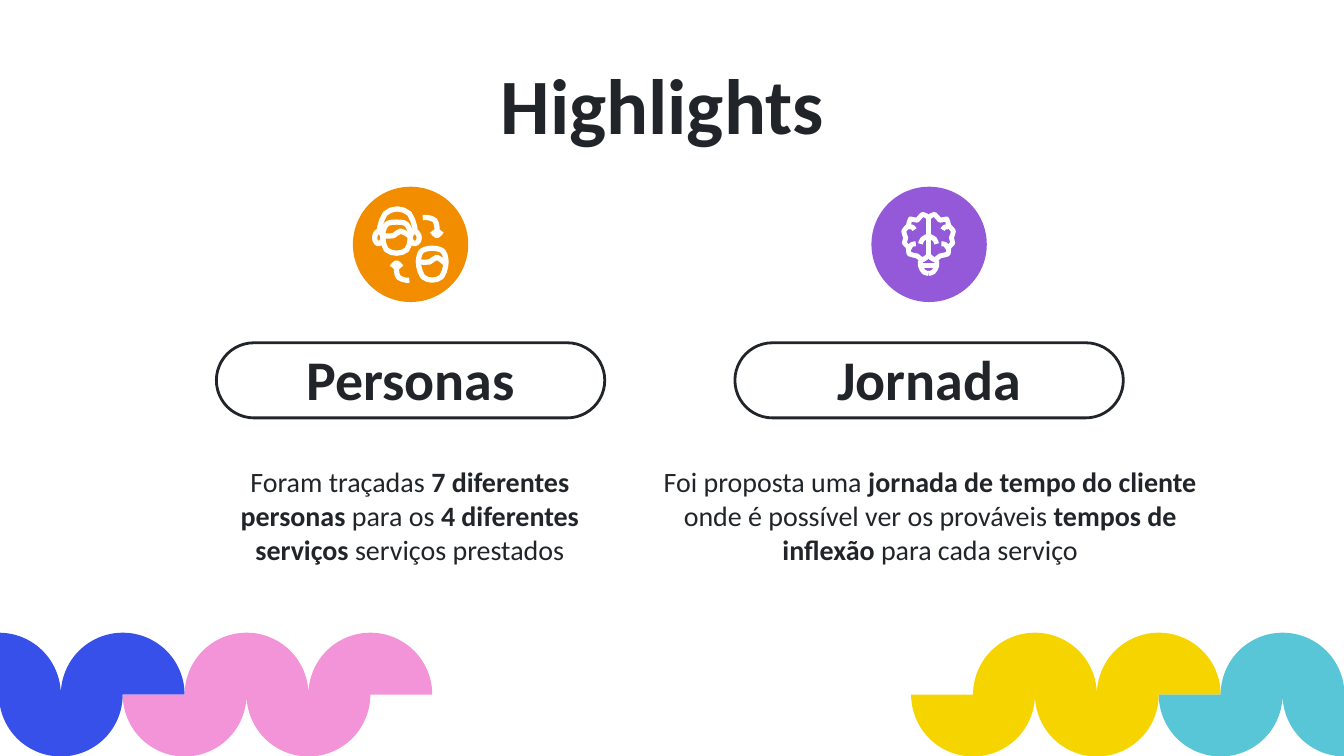
import pptx
import pptx.util
import pptx.dml.color
import pptx.enum.shapes
import pptx.enum.text
import pptx.oxml

Cm = pptx.util.Cm
Pt = pptx.util.Pt
RGBColor = pptx.dml.color.RGBColor
Shape = pptx.enum.shapes.MSO_SHAPE
Anchor = pptx.enum.text.MSO_ANCHOR

INK = RGBColor(0x21, 0x25, 0x29)
WHITE = RGBColor(0xFF, 0xFF, 0xFF)
BLUE = RGBColor(0x36, 0x50, 0xE9)
PINK = RGBColor(0xF3, 0x93, 0xD8)
YELLOW = RGBColor(0xF6, 0xD4, 0x00)
TEAL = RGBColor(0x59, 0xC6, 0xD8)
ORANGE = RGBColor(0xF2, 0x8D, 0x00)
PURPLE = RGBColor(0x93, 0x59, 0xD8)

FACES = [
    ([(20, 34), (20, 30), (24, 20), (33, 16.5), (42, 20), (46, 30), (46, 34)], False),
    ([(22.5, 33), (22.5, 40), (25, 47), (32.5, 49.5), (40, 47), (42.5, 40),
      (42.5, 33), (40, 28), (36, 26.5), (29, 26.5), (25, 28)], True),
    ([(23, 36.5), (30, 36.5), (35.5, 33), (42, 36.5)], False),
    ([(16.5, 36), (19, 33), (22, 36), (22, 40), (19, 42.5), (16.5, 40)], True),
    ([(43, 36), (46, 33), (49, 36), (49, 40), (46, 42.5), (43, 40)], True),
    ([(49, 53), (51, 48), (56, 46), (62, 46), (67, 48), (69, 53), (69, 59),
      (66, 67), (59, 69.5), (52, 67), (49, 59)], True),
    ([(50, 56), (57, 56), (62.5, 52.5), (68, 56.5)], False),
    ([(52, 23), (56, 23), (61, 25), (62.5, 30), (62.5, 36)], False),
    ([(59, 33), (62.5, 36.5), (66, 33)], False),
    ([(42, 69.5), (39, 69.5), (34, 67.5), (32.5, 63), (32.5, 57)], False),
    ([(29, 60), (32.5, 56.5), (36, 60)], False),
]
HALF = [
    [(42.5, 23), (38, 20.5), (34, 25), (29, 24), (27.5, 29), (24, 33),
     (25.5, 38), (24.5, 42), (27.5, 45), (28, 50), (34, 51.5), (38, 54.5), (42.5, 51)],
    [(36.5, 42.5), (38, 39), (42.5, 36.5)],
    [(28, 30), (30.5, 30), (32, 32)],
    [(28, 46), (30, 43), (33, 42.5)],
    [(36.5, 55), (36.5, 59), (39, 63.5), (42.5, 64.5)],
    [(36.5, 58.5), (42.5, 58.5)],
]
BRAIN = [([(42.5, 22), (42.5, 52)], False)]
for half in HALF:
    BRAIN += [(half, False), ([(85 - x, y) for x, y in half], False)]

TITLE = "Highlights "
TOPICS = [
    {"head": "Personas", "left": 4.09, "body": (3.91, 7.67), "tint": ORANGE,
     "icon": FACES, "pen": 2.8,
     "parts": ["Foram traçadas ", "7 diferentes personas", " para os ",
               "4 diferentes serviços", " serviços prestados"]},
    {"head": "Jornada", "left": 13.89, "body": (12.17, 10.82), "tint": PURPLE,
     "icon": BRAIN, "pen": 2.6,
     "parts": ["Foi proposta uma ", "jornada de tempo do cliente",
               " onde é possível ver os prováveis ", "tempos de inflexão",
               " para cada serviço"]},
]
RADIUS, CREST = 1.17, 11.96
PAIRS = [(-2.36, (BLUE, PINK)), (17.22, (YELLOW, TEAL))]
PILL, DISC, TOP = 7.34, 2.18, 3.53
UNIT = 0.0254
SPACE = 'xmlns:a="http://schemas.openxmlformats.org/drawingml/2006/main"'


def trace(strokes):
    form = None
    for points, closed in strokes:
        spots = [(Cm(x), Cm(y)) for x, y in points]
        if form is None:
            form = slide.shapes.build_freeform(*spots[0])
        else:
            form.move_to(*spots[0])
        form.add_line_segments(spots[1:], close=closed)
    shape = form.convert_to_shape()
    shape.shadow.inherit = False
    return shape


def smooth(points, closed):
    if closed:
        knots = [points[-1], *points, *points[:2]]
    else:
        knots = [points[0], *points, points[-1]]
    out = []
    for a, b, c, d in zip(knots, knots[1:], knots[2:], knots[3:]):
        out += [b, tuple((9 * (q + r) - p - s) / 16 for p, q, r, s in zip(a, b, c, d))]
    return out if closed else out + [points[-1]]


def wave(left, tint):
    right, base = left + 5 * RADIUS, CREST + 2 * RADIUS
    shape = trace([([(left, CREST), (right, CREST), (right, base), (left, base)], True)])
    size = Cm(RADIUS)
    arc = f'<a:arcTo wR="{size}" hR="{size}" stAng="{{}}" swAng="-10800000"/>'
    low, high = arc.format(10800000) * 2, arc.format(0) * 2
    track = pptx.oxml.parse_xml(
        f'<a:path {SPACE} w="{5 * size}" h="{2 * size}">'
        f'<a:moveTo><a:pt x="0" y="{size}"/></a:moveTo>{low}'
        f'<a:lnTo><a:pt x="{5 * size}" y="{size}"/></a:lnTo>{high}<a:close/></a:path>')
    old = shape._element.xpath(".//a:pathLst/a:path")[0]
    old.getparent().replace(old, track)
    shape.fill.solid()
    shape.fill.fore_color.rgb = tint
    shape.line.fill.background()


def write(holder, box, parts, size, bold, anchor):
    holder.left, holder.top, holder.width, holder.height = map(Cm, box)
    frame = holder.text_frame
    frame.text = parts[0]
    frame.word_wrap = True
    frame.auto_size = pptx.enum.text.MSO_AUTO_SIZE.NONE
    frame.vertical_anchor = anchor
    frame.margin_left = frame.margin_right = Cm(0.25)
    frame.margin_top = frame.margin_bottom = Cm(0.25)
    line = frame.paragraphs[0]
    line.alignment = pptx.enum.text.PP_ALIGN.CENTER
    line.space_before = Pt(0)
    props = line._p.get_or_add_pPr()
    props.set("marL", "0")
    props.set("indent", "0")
    props.append(pptx.oxml.parse_xml(f"<a:buNone {SPACE}/>"))
    for part in parts[1:]:
        line.add_run().text = part
    for place, run in enumerate(line.runs):
        run.font.name = "Calibri"
        run.font.size = Pt(size)
        run.font.bold = bold or place % 2 == 1
        run.font.color.rgb = INK


def preset(kind, box):
    shape = slide.shapes.add_shape(kind, *map(Cm, box))
    shape.shadow.inherit = False
    return shape


deck = pptx.Presentation()
deck.slide_width, deck.slide_height = Cm(25.4), Cm(14.29)
slide = deck.slides.add_slide(deck.slide_layouts.get_by_name("Comparison"))
holders = list(slide.placeholders)

for left, tints in PAIRS:
    for place, tint in enumerate(tints):
        wave(left + place * 4 * RADIUS, tint)

write(holders[0], (1.98, 0.81, 21.41, 1.98), [TITLE], 42, True, Anchor.TOP)

for place, topic in enumerate(TOPICS):
    left = topic["left"]
    head, body = holders[1 + 2 * place:3 + 2 * place]
    write(head, (left, 6.71, PILL, 0.89), [topic["head"]], 30, True, Anchor.MIDDLE)
    start, width = topic["body"]
    write(body, (start, 8.33, width, 2.82), topic["parts"], 15, False, Anchor.MIDDLE)

    pill = preset(Shape.ROUNDED_RECTANGLE, (left, 6.48, PILL, 1.42))
    pill.adjustments[0] = 0.5
    pill.fill.background()
    pill.line.color.rgb = INK
    pill.line.width = Pt(1.5)

    edge = left + (PILL - DISC) / 2
    disc = preset(Shape.OVAL, (edge, TOP, DISC, DISC))
    disc.fill.solid()
    disc.fill.fore_color.rgb = topic["tint"]
    disc.line.fill.background()

    icon = trace([
        ([(edge + x * UNIT, TOP + y * UNIT) for x, y in smooth(points, closed)], closed)
        for points, closed in topic["icon"]])
    icon.fill.background()
    icon.line.color.rgb = WHITE
    icon.line.width = Pt(topic["pen"])

deck.save("out.pptx")
